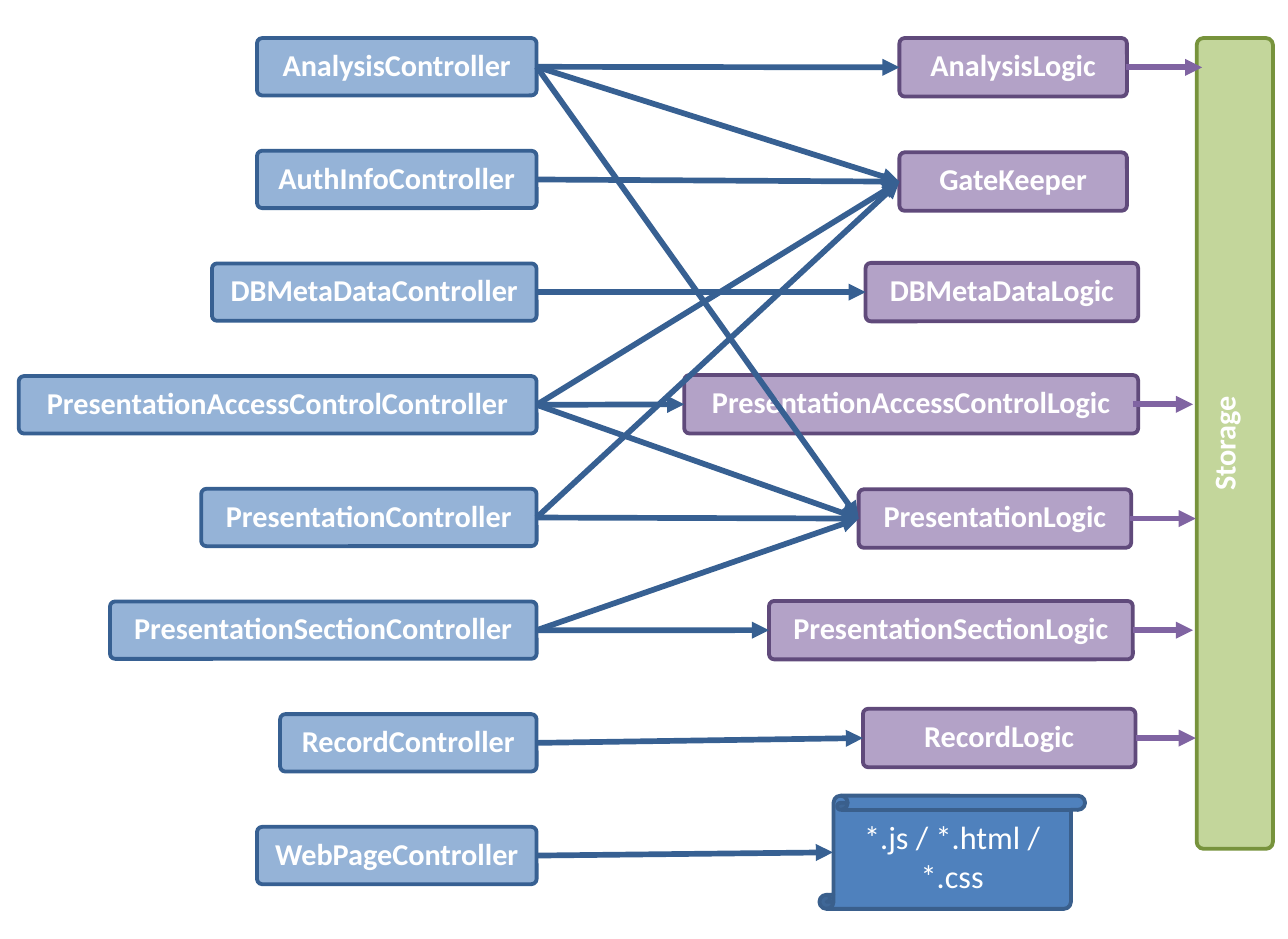
import pptx
import pptx.dml.color
import pptx.enum.shapes
import pptx.enum.text
import pptx.oxml
import pptx.oxml.ns
import pptx.util

Cm = pptx.util.Cm
Pt = pptx.util.Pt
RGBColor = pptx.dml.color.RGBColor
MSO_SHAPE = pptx.enum.shapes.MSO_SHAPE
MSO_ANCHOR = pptx.enum.text.MSO_ANCHOR

WHITE = RGBColor(0xFF, 0xFF, 0xFF)
BLUE = RGBColor(0x95, 0xB3, 0xD7)
DARK_BLUE = RGBColor(0x37, 0x60, 0x92)
LILAC = RGBColor(0xB3, 0xA2, 0xC7)
DARK_LILAC = RGBColor(0x60, 0x4A, 0x7B)
PURPLE = RGBColor(0x80, 0x64, 0xA2)
GREEN = RGBColor(0xC3, 0xD6, 0x9B)
DARK_GREEN = RGBColor(0x77, 0x93, 0x3C)
SCROLL_BLUE = RGBColor(0x4F, 0x81, 0xBD)
SCROLL_EDGE = RGBColor(0x3A, 0x5F, 0x8C)

LEFT_SITE, RIGHT_SITE = 1, 3


class Diagram:
    font = "Calibri"

    def __init__(self, slide):
        self.slide = slide

    def shape(self, kind, text, box, fill, edge, size, bold):
        sp = self.slide.shapes.add_shape(kind, *(Cm(v) for v in box))
        sp.shadow.inherit = False
        sp.fill.solid()
        sp.fill.fore_color.rgb = fill
        sp.line.color.rgb = edge
        sp.line.width = Pt(2)
        tf = sp.text_frame
        tf.text = text
        tf.word_wrap = True
        p = tf.paragraphs[0]
        p.alignment = pptx.enum.text.PP_ALIGN.CENTER
        p.font.name = self.font
        p.font.size = Pt(size)
        p.font.bold = bold
        p.font.color.rgb = WHITE
        return sp

    def box(self, text, box, fill, edge):
        sp = self.shape(MSO_SHAPE.ROUNDED_RECTANGLE, text, box, fill, edge, 16, True)
        sp.adjustments[0] = 0.09
        sp.text_frame.vertical_anchor = MSO_ANCHOR.TOP
        sp.text_frame.word_wrap = False
        return sp

    def scroll(self, text, box):
        return self.shape(MSO_SHAPE.VERTICAL_SCROLL, text, box, SCROLL_BLUE, SCROLL_EDGE, 17, False)

    def arrow(self, x1, y1, x2, y2, color):
        cxn = self.slide.shapes.add_connector(
            pptx.enum.shapes.MSO_CONNECTOR.STRAIGHT, x1, y1, x2, y2)
        cxn.line.color.rgb = color
        cxn.line.width = Pt(3)
        ln = cxn.line._get_or_add_ln()
        ln.append(pptx.oxml.parse_xml(
            '<a:tailEnd %s type="triangle"/>' % pptx.oxml.ns.nsdecls("a")))
        cxn.element.spPr.append(pptx.oxml.parse_xml(
            "<a:effectLst %s/>" % pptx.oxml.ns.nsdecls("a")))
        return cxn

    def link(self, source, target):
        cxn = self.arrow(0, 0, 0, 0, DARK_BLUE)
        cxn.begin_connect(source, RIGHT_SITE)
        cxn.end_connect(target, LEFT_SITE)
        return cxn


prs = pptx.Presentation()
prs.slide_width = Cm(24)
prs.slide_height = Cm(17.5)
s = prs.slides.add_slide(prs.slide_layouts[6])
diagram = Diagram(s)

CONTROLLER_RIGHT, TOP, PITCH = 10, 0.71, 2.1
controller_widths = {
    "Analysis": 5.21,
    "AuthInfo": 5.21,
    "DBMetaData": 6.05,
    "PresentationAccessControl": 9.65,
    "Presentation": 6.25,
    "PresentationSection": 7.95,
    "Record": 4.78,
    "WebPage": 5.21,
}
controllers = {
    name: diagram.box(name + "Controller",
                      (CONTROLLER_RIGHT - width, TOP + i * PITCH, width, 1.07),
                      BLUE, DARK_BLUE)
    for i, (name, width) in enumerate(controller_widths.items())
}

logic_places = {
    "AnalysisLogic": (16.76, 0.71, 4.24),
    "GateKeeper": (16.76, 2.84, 4.24),
    "DBMetaDataLogic": (16.13, 4.9, 5.08),
    "PresentationAccessControlLogic": (12.75, 6.99, 8.46),
    "PresentationLogic": (16, 9.12, 5.08),
    "PresentationSectionLogic": (14.33, 11.2, 6.78),
    "RecordLogic": (16.08, 13.21, 5.08),
}
logics = {
    name: diagram.box(name, (left, top, width, 1.09), LILAC, DARK_LILAC)
    for name, (left, top, width) in logic_places.items()
}

web_files = diagram.scroll("*.js / *.html / *.css", (15.27, 14.83, 4.95, 2.11))
storage = diagram.box("Storage", (22.3, TOP, 1.42, 15.11), GREEN, DARK_GREEN)
storage.element.txBody.bodyPr.set("vert", "vert270")

calls = {
    "Analysis": ["GateKeeper", "AnalysisLogic", "PresentationLogic"],
    "AuthInfo": ["GateKeeper"],
    "DBMetaData": ["DBMetaDataLogic"],
    "PresentationAccessControl": [
        "PresentationAccessControlLogic", "GateKeeper", "PresentationLogic"],
    "Presentation": ["PresentationLogic", "GateKeeper"],
    "PresentationSection": ["PresentationSectionLogic", "PresentationLogic"],
    "Record": ["RecordLogic"],
}
for controller, targets in calls.items():
    for target in targets:
        diagram.link(controllers[controller], logics[target])
web_link = diagram.link(controllers["WebPage"], web_files)
web_link.end_x = Cm(15.52)

storage_arrows = {
    "AnalysisLogic": (20.98, 22.4),
    "PresentationAccessControlLogic": (21.11, 22.23),
    "PresentationLogic": (21.06, 22.28),
    "PresentationSectionLogic": (21.11, 22.23),
    "RecordLogic": (21.16, 22.28),
}
for name, (x1, x2) in storage_arrows.items():
    y = logics[name].top + logics[name].height // 2
    diagram.arrow(Cm(x1), y, Cm(x2), y, PURPLE)

prs.save("out.pptx")
